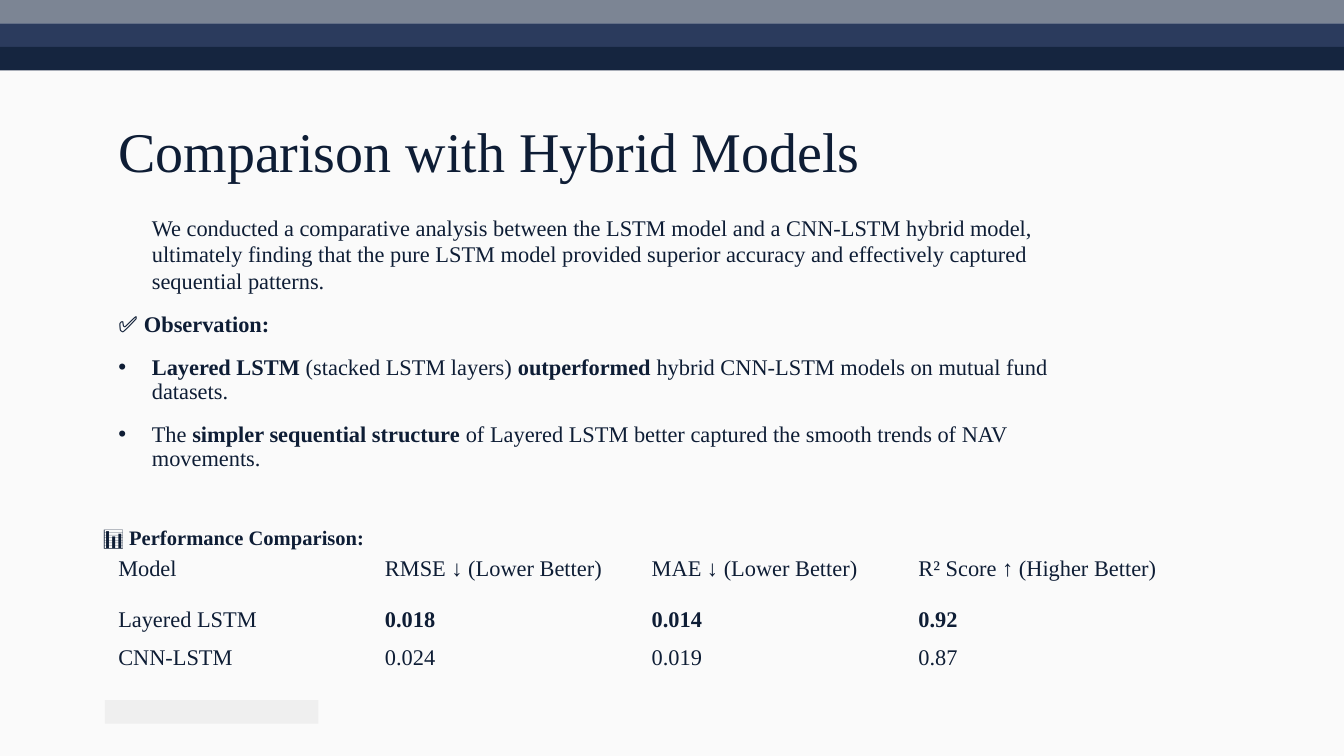
from dataclasses import dataclass

from lxml.etree import SubElement
from pptx import Presentation
from pptx.dml.color import RGBColor
from pptx.enum.shapes import MSO_SHAPE as Shape
from pptx.enum.text import MSO_ANCHOR as Anchor, MSO_AUTO_SIZE as AutoSize, PP_ALIGN as Align
from pptx.oxml.ns import qn
from pptx.util import Inches, Pt


@dataclass(frozen=True)
class Theme:
    background: str = "FAFAFA"
    ink: str = "0E1D35"
    bands: tuple = ("7C8594", "2B3B5D", "15253F")
    footer: str = "EFEFEF"
    font: str = "Times New Roman"
    symbol_font: str = "Arial"
    title_size: int = 30
    body_size: int = 12
    caption_size: int = 11


THEME = Theme()
WIDTH, HEIGHT = Inches(10), Inches(5.625)
LEFT = 7.8
BAND_HEIGHT = 3.11
TABLE_WIDTH = 79.4
ROW_HEIGHTS = (8.36, 4.8, 4.8)
INDENT = Inches(0.25)
NO_GRID_STYLE = "{2D5ABB26-0587-4C30-8999-92F81FD0307C}"

INTRODUCTION = (
    "We conducted a comparative analysis between the LSTM model and a CNN-LSTM hybrid model, "
    "ultimately finding that the pure LSTM model provided superior accuracy and effectively "
    "captured sequential patterns."
)
FINDINGS = (
    (("Layered LSTM", True), (" (stacked LSTM layers) ", False), ("outperformed", True),
     (" hybrid CNN-LSTM models on mutual fund datasets.", False)),
    (("The ", False), ("simpler sequential structure", True),
     (" of Layered LSTM better captured the smooth trends of NAV movements.", False)),
)
RESULTS = (
    ("Model", "RMSE ↓ (Lower Better)", "MAE ↓ (Lower Better)", "R² Score ↑ (Higher Better)"),
    ("Layered LSTM", "0.018", "0.014", "0.92"),
    ("CNN-LSTM", "0.024", "0.019", "0.87"),
)
BEST_ROW = 1


def across(share):
    return round(WIDTH * share / 100)


def down(share):
    return round(HEIGHT * share / 100)


def box(left, top, width, height):
    return across(left), down(top), across(width), down(height)


def add_run(paragraph, text, size=THEME.body_size, bold=False, font=THEME.font):
    run = paragraph.add_run()
    run.text = text
    run.font.name = font
    run.font.size = Pt(size)
    run.font.bold = bold
    run.font.color.rgb = RGBColor.from_string(THEME.ink)


def add_bar(slide, area, color):
    shape = slide.shapes.add_shape(Shape.RECTANGLE, *area)
    shape.shadow.inherit = False
    shape.fill.solid()
    shape.fill.fore_color.rgb = RGBColor.from_string(color)
    shape.line.fill.background()


def place_text(placeholder, area, anchor):
    placeholder.left, placeholder.top, placeholder.width, placeholder.height = area
    frame = placeholder.text_frame
    frame.auto_size = AutoSize.NONE
    frame.word_wrap = True
    frame.vertical_anchor = anchor
    frame.margin_left = frame.margin_right = Inches(0.1)
    frame.margin_top = frame.margin_bottom = Inches(0.1)
    return frame


def format_paragraph(paragraph, first_indent, line_spacing, bullet=None):
    paragraph.alignment = Align.LEFT
    paragraph.line_spacing = line_spacing
    paragraph.space_before = Pt(10)
    properties = paragraph._p.get_or_add_pPr()
    properties.set("marL", str(INDENT))
    properties.set("indent", str(first_indent))
    if bullet:
        SubElement(properties, qn("a:buChar")).set("char", bullet)
    else:
        SubElement(properties, qn("a:buNone"))


def add_title(slide):
    frame = place_text(slide.shapes.title, box(LEFT, 11.56, 75.7, 14.58), Anchor.BOTTOM)
    paragraph = frame.paragraphs[0]
    paragraph.alignment = Align.LEFT
    add_run(paragraph, "Comparison with Hybrid Models", THEME.title_size)


def add_body(slide):
    frame = place_text(slide.placeholders[1], box(LEFT, 26.49, 76, 53.51), Anchor.TOP)
    introduction = frame.paragraphs[0]
    format_paragraph(introduction, 0, 1.0)
    add_run(introduction, INTRODUCTION)

    heading = frame.add_paragraph()
    format_paragraph(heading, -INDENT, 0.9)
    add_run(heading, "✅ ", bold=True, font=THEME.symbol_font)
    add_run(heading, "Observation:", bold=True)

    for finding in FINDINGS:
        paragraph = frame.add_paragraph()
        format_paragraph(paragraph, -INDENT, 0.9, "•")
        for text, bold in finding:
            add_run(paragraph, text, bold=bold)


def add_results(slide):
    area = box(LEFT, 71.11, TABLE_WIDTH, sum(ROW_HEIGHTS))
    table = slide.shapes.add_table(len(RESULTS), len(RESULTS[0]), *area).table
    table.first_row = table.horz_banding = False
    table._tbl.tblPr.find(qn("a:tableStyleId")).text = NO_GRID_STYLE
    for row, height in zip(table.rows, ROW_HEIGHTS):
        row.height = down(height)
    for row_index, values in enumerate(RESULTS):
        for column_index, value in enumerate(values):
            cell = table.cell(row_index, column_index)
            cell.fill.background()
            cell.vertical_anchor = Anchor.MIDDLE
            best = row_index == BEST_ROW and column_index > 0
            add_run(cell.text_frame.paragraphs[0], value, bold=best)


def add_caption(slide):
    frame = slide.shapes.add_textbox(*box(6.7, 68.62, 88.3, 8.36)).text_frame
    frame.word_wrap = True
    add_run(frame.paragraphs[0], "📊 Performance Comparison:", THEME.caption_size, True)


def main():
    presentation = Presentation()
    presentation.slide_width, presentation.slide_height = WIDTH, HEIGHT
    slide = presentation.slides.add_slide(presentation.slide_layouts[1])
    slide.background.fill.solid()
    slide.background.fill.fore_color.rgb = RGBColor.from_string(THEME.background)
    for index, color in enumerate(THEME.bands):
        add_bar(slide, box(0, index * BAND_HEIGHT, 100, BAND_HEIGHT), color)
    add_bar(slide, box(LEFT, 92.62, 15.9, BAND_HEIGHT), THEME.footer)
    add_title(slide)
    add_body(slide)
    add_results(slide)
    add_caption(slide)
    presentation.save("out.pptx")


if __name__ == "__main__":
    main()
